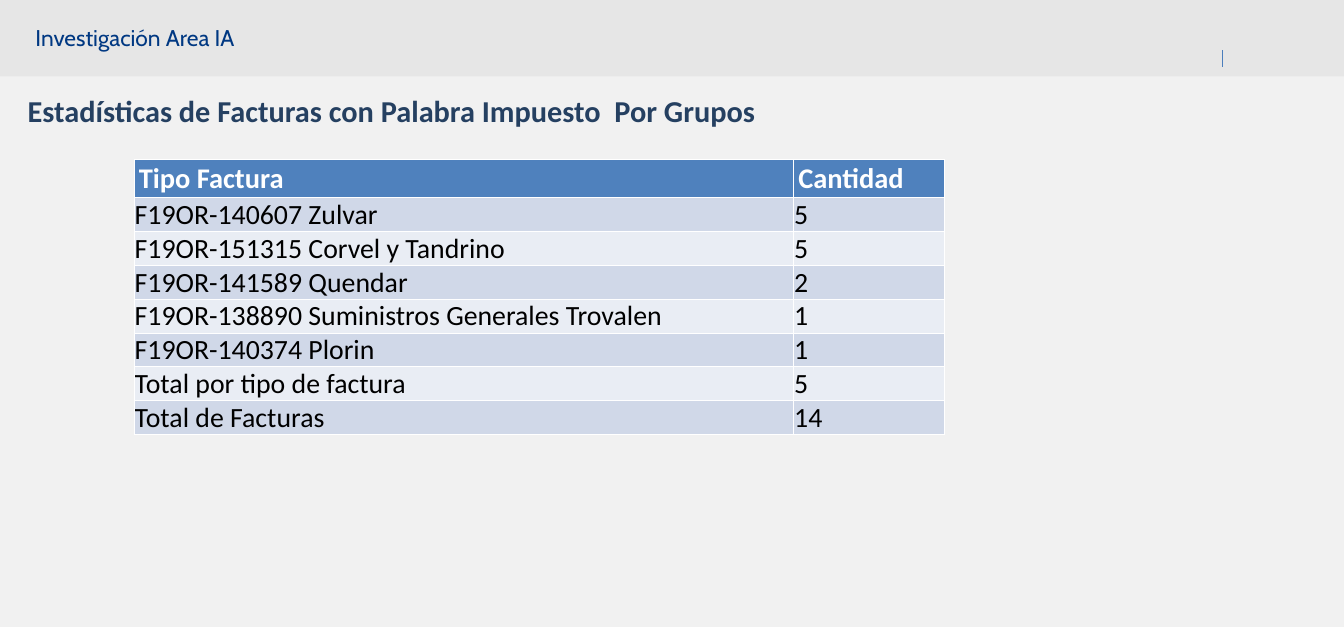
from dataclasses import dataclass

from lxml.etree import SubElement
from pptx import Presentation
from pptx.dml.color import RGBColor
from pptx.enum.shapes import MSO_CONNECTOR, MSO_SHAPE
from pptx.enum.text import MSO_ANCHOR, PP_ALIGN
from pptx.oxml.ns import qn
from pptx.util import Inches, Pt


@dataclass(frozen=True)
class Theme:
    background: str = "F1F1F1"
    band: str = "E6E6E6"
    section: str = "003882"
    title: str = "254061"
    tick: str = "4B7EBC"
    header_fill: str = "4F81BD"
    row_fills: tuple = ("D0D8E8", "E9EDF4")
    white: str = "FFFFFF"
    black: str = "000000"
    section_font: str = "Cabin"
    body_font: str = "Calibri"
    section_size: int = 36
    title_size: int = 48
    header_size: int = 45
    row_size: int = 44


THEME = Theme()
SLIDE_WIDTH, SLIDE_HEIGHT = 29.53, 13.78
COLUMN_WIDTHS = (14.49, 3.31)
HEADER_HEIGHT, ROW_HEIGHT = 0.84, 0.74
INVOICE_ROWS = [
    ("Tipo Factura", "Cantidad"),
    ("F19OR-140607 Zulvar", "5"),
    ("F19OR-151315 Corvel y Tandrino", "5"),
    ("F19OR-141589 Quendar", "2"),
    ("F19OR-138890 Suministros Generales Trovalen", "1"),
    ("F19OR-140374 Plorin", "1"),
    ("Total por tipo de factura", "5"),
    ("Total de Facturas", "14"),
]


def paint(fill, color):
    fill.solid()
    fill.fore_color.rgb = RGBColor.from_string(color)


def write(text_frame, text, size, color, font=THEME.body_font, bold=False):
    paragraph = text_frame.paragraphs[0]
    paragraph.text = text
    paragraph.alignment = PP_ALIGN.LEFT
    paragraph.font.name = font
    paragraph.font.size = Pt(size)
    paragraph.font.bold = bold
    paragraph.font.color.rgb = RGBColor.from_string(color)


def set_margins(target, left, top, right, bottom):
    target.margin_left, target.margin_top = Inches(left), Inches(top)
    target.margin_right, target.margin_bottom = Inches(right), Inches(bottom)


def add_band(slide, text):
    band = slide.shapes.add_shape(
        MSO_SHAPE.RECTANGLE, 0, 0, Inches(SLIDE_WIDTH), Inches(1.68))
    band.shadow.inherit = False
    paint(band.fill, THEME.band)
    band.line.fill.background()
    text_frame = band.text_frame
    text_frame.word_wrap = True
    text_frame.vertical_anchor = MSO_ANCHOR.MIDDLE
    set_margins(text_frame, 0.78, 0.1, 0.19, 0.12)
    write(text_frame, text, THEME.section_size, THEME.section, THEME.section_font)


def add_tick(slide, x, top, bottom):
    tick = slide.shapes.add_connector(
        MSO_CONNECTOR.STRAIGHT, Inches(x), Inches(top), Inches(x), Inches(bottom))
    tick.line.width = Pt(0.25)
    tick.line.color.rgb = RGBColor.from_string(THEME.tick)
    SubElement(tick._element.spPr, qn("a:effectLst"))


def add_title(slide, text):
    title = slide.shapes.add_textbox(
        Inches(0.51), Inches(1.98), Inches(16.46), Inches(2.26))
    title.text_frame.word_wrap = True
    write(title.text_frame, text, THEME.title_size, THEME.title, bold=True)


def set_borders(cell, bottom_width):
    properties = cell._tc.get_or_add_tcPr()
    widths = {"a:lnL": 1, "a:lnR": 1, "a:lnT": 1, "a:lnB": bottom_width}
    for tag, width in widths.items():
        line = SubElement(properties, qn(tag), w=str(Pt(width)))
        solid = SubElement(line, qn("a:solidFill"))
        SubElement(solid, qn("a:srgbClr"), val=THEME.white)


def style_cell(cell, text, row_index):
    is_header = row_index == 0
    # Borders come before the fill in the cell properties
    set_borders(cell, 3 if is_header else 1)
    if is_header:
        paint(cell.fill, THEME.header_fill)
        write(cell.text_frame, text, THEME.header_size, THEME.white, bold=True)
    else:
        paint(cell.fill, THEME.row_fills[(row_index - 1) % 2])
        cell.vertical_anchor = MSO_ANCHOR.MIDDLE
        set_margins(cell, 0.01, 0.01, 0.01, 0)
        write(cell.text_frame, text, THEME.row_size, THEME.black)


def add_invoice_table(slide, rows):
    height = HEADER_HEIGHT + ROW_HEIGHT * (len(rows) - 1)
    table = slide.shapes.add_table(
        len(rows), len(COLUMN_WIDTHS), Inches(2.95), Inches(3.49),
        Inches(sum(COLUMN_WIDTHS)), Inches(height)).table
    for column, width in zip(table.columns, COLUMN_WIDTHS):
        column.width = Inches(width)
    for row_index, values in enumerate(rows):
        table.rows[row_index].height = Inches(ROW_HEIGHT if row_index else HEADER_HEIGHT)
        for column_index, text in enumerate(values):
            style_cell(table.cell(row_index, column_index), text, row_index)


def main():
    presentation = Presentation()
    presentation.slide_width = Inches(SLIDE_WIDTH)
    presentation.slide_height = Inches(SLIDE_HEIGHT)
    slide = presentation.slides.add_slide(presentation.slide_layouts[6])
    paint(slide.background.fill, THEME.background)

    # Header band
    add_band(slide, "Investigación Area IA")
    add_tick(slide, 26.86, 1.1, 1.48)

    # Title and invoice counts
    add_title(slide, "Estadísticas de Facturas con Palabra Impuesto  Por Grupos")
    add_invoice_table(slide, INVOICE_ROWS)

    presentation.save("out.pptx")


main()
